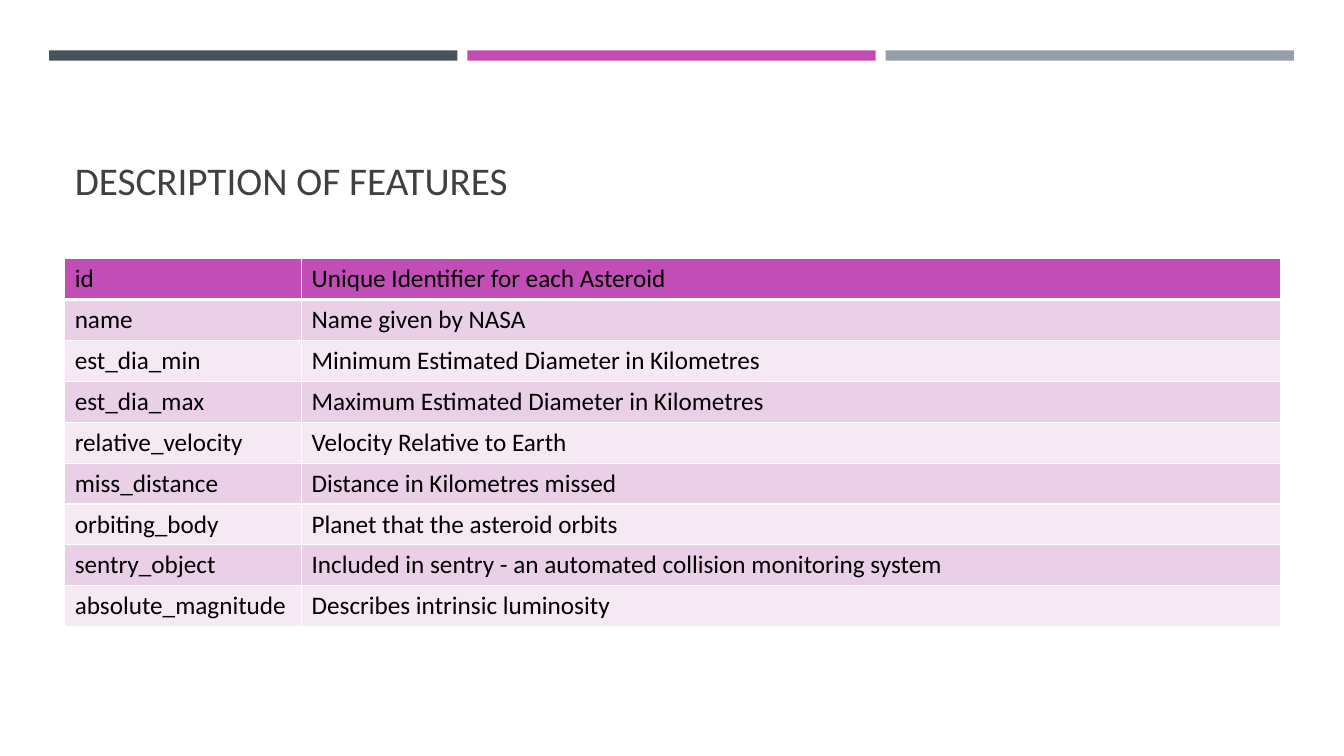
from lxml.etree import SubElement
from pptx import Presentation
from pptx.dml.color import RGBColor
from pptx.enum.shapes import MSO_SHAPE
from pptx.enum.text import MSO_ANCHOR, PP_ALIGN
from pptx.oxml.ns import qn
from pptx.util import Cm, Pt


def color(hex_code):
    return RGBColor.from_string(hex_code)


class SlideBuilder:
    FONT = "Calibri"
    TITLE = {"size": Pt(28), "bold": False, "ink": "404040"}
    CELL = {"size": Pt(18), "bold": False, "ink": "000000"}
    HEADER_FILL = "C34DB7"
    BAND_FILLS = ("E9D0E6", "F5E9F3")
    RULE = "FFFFFF"

    def __init__(self, slide):
        self.slide = slide

    def set_text(self, frame, text, style):
        frame.text = text
        paragraph = frame.paragraphs[0]
        paragraph.alignment = PP_ALIGN.LEFT
        font = paragraph.runs[0].font
        font.name = self.FONT
        for key, value in style.items():
            if key == "ink":
                font.color.rgb = color(value)
            else:
                setattr(font, key, value)

    def bar(self, left, top, width, height, fill):
        bar = self.slide.shapes.add_shape(
            MSO_SHAPE.RECTANGLE, Cm(left), Cm(top), Cm(width), Cm(height))
        bar.shadow.inherit = False
        bar.fill.solid()
        bar.fill.fore_color.rgb = color(fill)
        bar.line.fill.background()

    def title(self, text, left, top, width, height):
        title = self.slide.shapes.title
        place = {"left": left, "top": top, "width": width, "height": height}
        for key, value in place.items():
            setattr(title, key, Cm(value))
        title.text_frame.word_wrap = True
        title.text_frame.vertical_anchor = MSO_ANCHOR.BOTTOM
        self.set_text(title.text_frame, text, self.TITLE)

    def border(self, cell, widths):
        properties = cell._tc.get_or_add_tcPr()
        for side, width in widths.items():
            line = SubElement(properties, qn(f"a:ln{side}"), w=str(Pt(width)))
            paint = SubElement(line, qn("a:solidFill"))
            SubElement(paint, qn("a:srgbClr"), val=self.RULE)

    def table(self, rows, left, top, column_widths, row_height):
        table = self.slide.shapes.add_table(
            len(rows), len(column_widths), Cm(left), Cm(top),
            Cm(sum(column_widths)), Cm(row_height * len(rows))).table
        for column, width in zip(table.columns, column_widths):
            column.width = Cm(width)
        for r, texts in enumerate(rows):
            table.rows[r].height = Cm(row_height)
            fill = self.BAND_FILLS[(r - 1) % 2] if r else self.HEADER_FILL
            # The header is set off by a thicker rule
            widths = {"L": 1, "R": 1, "T": 3 if r == 1 else 1, "B": 1 if r else 3}
            for c, text in enumerate(texts):
                cell = table.cell(r, c)
                self.border(cell, widths)
                cell.fill.solid()
                cell.fill.fore_color.rgb = color(fill)
                self.set_text(cell.text_frame, text, self.CELL)


deck = Presentation()
deck.slide_width, deck.slide_height = Cm(33.87), Cm(19.05)
TITLE_ONLY = 5
builder = SlideBuilder(deck.slides.add_slide(deck.slide_layouts[TITLE_ONLY]))

# Accent bars across the top
BAR_WIDTH, BAR_GAP = 10.29, 0.25
for i, accent in enumerate(("465359", "C34DB7", "969FA7")):
    builder.bar(1.24 + i * (BAR_WIDTH + BAR_GAP), 1.27, BAR_WIDTH, 0.26, accent)

# Title
MARGIN = 1.63
builder.title("DESCRIPTION OF FEATURES", MARGIN, 1.96, 30.63, 3.3)

# Dataset features and their meaning
features = [
    ("id", "Unique Identifier for each Asteroid"),
    ("name", "Name given by NASA"),
    ("est_dia_min", "Minimum Estimated Diameter in Kilometres"),
    ("est_dia_max", "Maximum Estimated Diameter in Kilometres"),
    ("relative_velocity", "Velocity Relative to Earth"),
    ("miss_distance", "Distance in Kilometres missed"),
    ("orbiting_body", "Planet that the asteroid orbits"),
    ("sentry_object", "Included in sentry - an automated collision monitoring system"),
    ("absolute_magnitude", "Describes intrinsic luminosity"),
]
builder.table(features, MARGIN, 6.52, (5.97, 24.66), 1.03)

deck.save("out.pptx")
